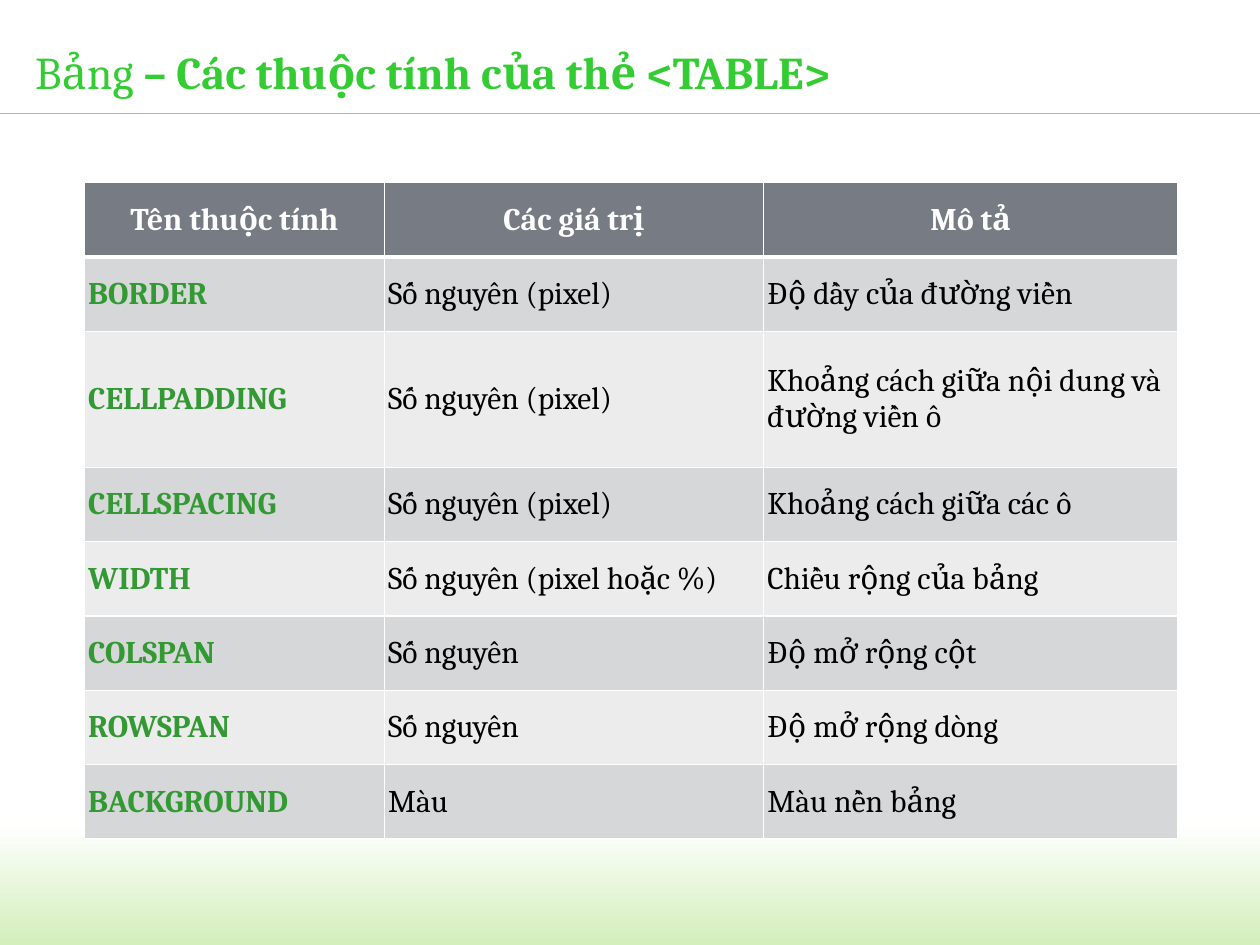
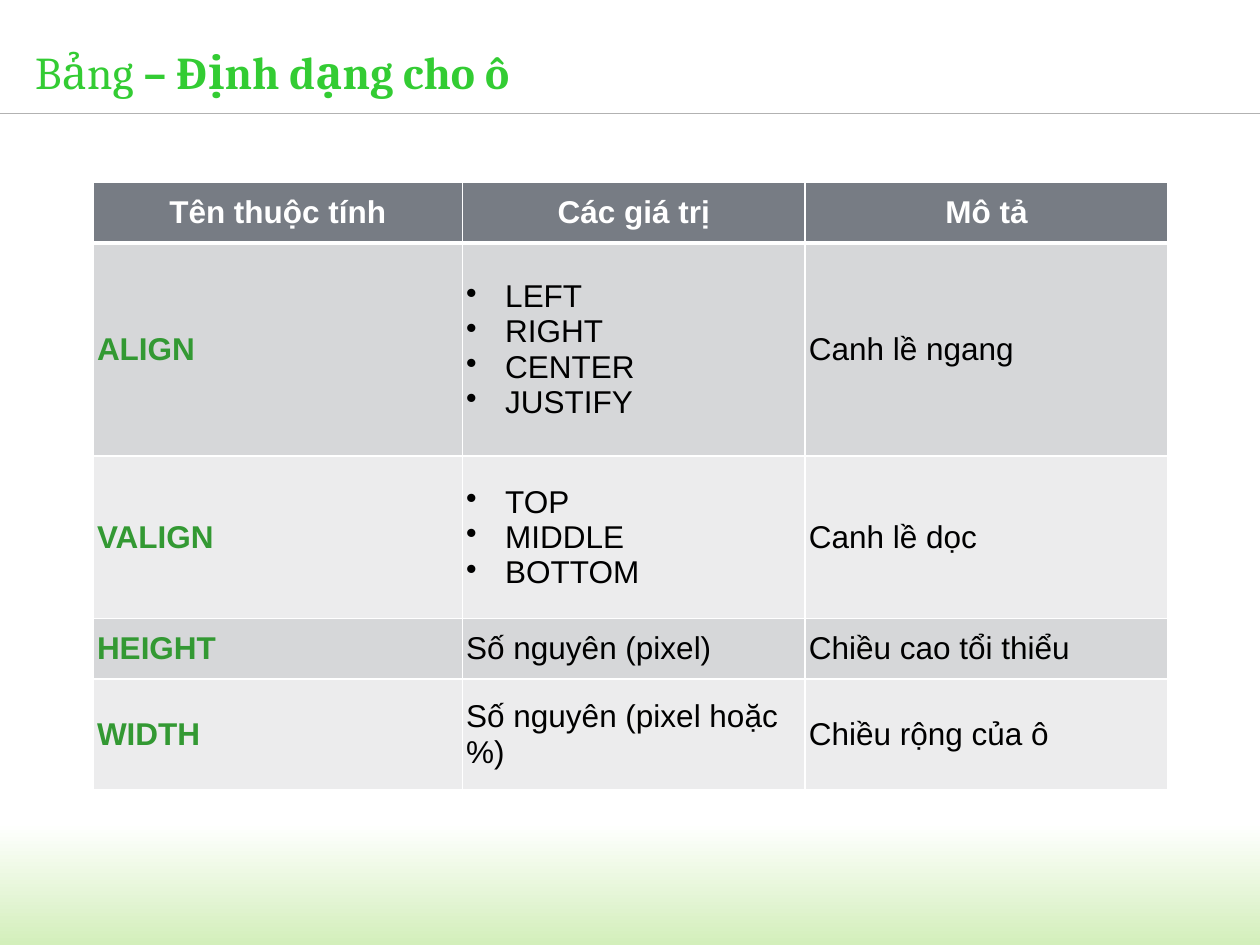
from lxml.etree import SubElement
from pptx import Presentation
from pptx.dml.color import RGBColor
from pptx.enum.shapes import MSO_CONNECTOR, MSO_SHAPE
from pptx.enum.text import MSO_ANCHOR, PP_ALIGN
from pptx.oxml import parse_xml
from pptx.oxml.ns import nsdecls, qn
from pptx.util import Inches, Pt

WHITE = RGBColor(0xFF, 0xFF, 0xFF)
BLACK = RGBColor(0x00, 0x00, 0x00)
TITLE_GREEN = RGBColor(0x33, 0xCC, 0x33)
NAME_GREEN = RGBColor(0x33, 0x99, 0x33)
FOOTER_GREEN = RGBColor(0xD3, 0xEF, 0xBB)
RULE_GREY = RGBColor(0xB2, 0xB2, 0xB2)
HEADER_GREY = RGBColor(0x77, 0x7C, 0x84)
ROW_GREYS = RGBColor(0xD6, 0xD7, 0xD9), RGBColor(0xEC, 0xEC, 0xED)

GRID_COLUMNS, GRID_ROWS = 100, 75
TITLE_FONT = "Cambria"
CELL_INSET = Inches(0.03)
BULLET_INDENT = Inches(0.31)
THIN, THICK = Pt(1), Pt(3)

HEADINGS = ("Tên thuộc tính", "Các giá trị", "Mô tả")
TABLE_ATTRIBUTES = (
    ("BORDER", "Số nguyên (pixel)", "Độ dầy của đường viền"),
    ("CELLPADDING", "Số nguyên (pixel)", "Khoảng cách giữa nội dung và đường viền ô"),
    ("CELLSPACING", "Số nguyên (pixel)", "Khoảng cách giữa các ô"),
    ("WIDTH", "Số nguyên (pixel hoặc %)", "Chiều rộng của bảng"),
    ("COLSPAN", "Số nguyên", "Độ mở rộng cột"),
    ("ROWSPAN", "Số nguyên", "Độ mở rộng dòng"),
    ("BACKGROUND", "Màu", "Màu nền bảng"),
)
CELL_ATTRIBUTES = (
    ("ALIGN", ("LEFT", "RIGHT", "CENTER", "JUSTIFY"), "Canh lề ngang"),
    ("VALIGN", ("TOP", "MIDDLE", "BOTTOM"), "Canh lề dọc"),
    ("HEIGHT", "Số nguyên (pixel)", "Chiều cao tổi thiểu"),
    ("WIDTH", "Số nguyên (pixel hoặc %)", "Chiều rộng của ô"),
)


class AttributeDeck:
    """Builds slides that list HTML attributes in a shared green style."""

    def __init__(self):
        self.deck = Presentation()
        self.deck.slide_width = Inches(10)
        self.deck.slide_height = Inches(7.5)
        self.page = None

    def across(self, columns):
        return round(self.deck.slide_width * columns / GRID_COLUMNS)

    def down(self, rows):
        return round(self.deck.slide_height * rows / GRID_ROWS)

    def area(self, left, top, width, height):
        return self.across(left), self.down(top), self.across(width), self.down(height)

    def add_page(self, topic):
        self.page = self.deck.slides.add_slide(self.deck.slide_layouts[6])
        self.add_footer_band()
        self.add_title_rule()
        self.add_title(topic)

    def add_footer_band(self):
        band = self.page.shapes.add_shape(
            MSO_SHAPE.RECTANGLE, *self.area(0, 65.3, GRID_COLUMNS, 9.7))
        band.shadow.inherit = False
        band.line.fill.background()
        band.fill.gradient()
        band.fill.gradient_angle = 270
        for stop, color in zip(band.fill.gradient_stops, (WHITE, FOOTER_GREEN)):
            stop.color.rgb = color

    def add_title_rule(self):
        height = self.down(9)
        rule = self.page.shapes.add_connector(
            MSO_CONNECTOR.STRAIGHT, 0, height, self.deck.slide_width, height)
        rule.line.color.rgb = RULE_GREY
        rule.line.width = Pt(0.75)
        SubElement(rule._element.spPr, qn("a:effectLst"))

    def add_title(self, topic):
        box = self.page.shapes.add_textbox(*self.area(2.8, 2.5, 93.7, 6.4))
        frame = box.text_frame
        frame.word_wrap = True
        frame.vertical_anchor = MSO_ANCHOR.MIDDLE
        frame.margin_left = frame.margin_right = 0
        frame.margin_top = frame.margin_bottom = 0
        para = frame.paragraphs[0]
        self.set_font(para.font, TITLE_FONT, 26, TITLE_GREEN)
        for text, bold in (("Bảng ", False), (f"– {topic}", True)):
            span = para.add_run()
            span.text = text
            span.font.bold = bold

    def add_attribute_table(self, left, widths, heights, attributes, font_name):
        shape = self.page.shapes.add_table(
            len(heights), len(widths),
            *self.area(left, 14.5, sum(widths), sum(heights)))
        table = shape.table
        table.first_row = table.horz_banding = False
        properties = table._tbl.tblPr
        properties.remove(properties.find(qn("a:tableStyleId")))
        for column, width in zip(table.columns, widths):
            column.width = self.across(width)
        for row, height in zip(table.rows, heights):
            row.height = self.down(height)
        for row_index, values in enumerate((HEADINGS, *attributes)):
            for column_index, value in enumerate(values):
                cell = table.cell(row_index, column_index)
                self.fill_cell(cell, value, row_index, column_index, font_name)

    def fill_cell(self, cell, value, row_index, column_index, font_name):
        is_header = row_index == 0
        is_name = column_index == 0
        cell.vertical_anchor = MSO_ANCHOR.MIDDLE
        cell.margin_left = cell.margin_right = CELL_INSET
        cell.margin_top = cell.margin_bottom = CELL_INSET
        cell.fill.solid()
        cell.fill.fore_color.rgb = HEADER_GREY if is_header else ROW_GREYS[(row_index - 1) % 2]
        self.set_borders(cell, top=THICK if row_index == 1 else THIN,
                         bottom=THICK if is_header else THIN)
        color = WHITE if is_header else NAME_GREEN if is_name else BLACK
        is_list = isinstance(value, tuple)
        cell.text = "\n".join(value) if is_list else value
        for para in cell.text_frame.paragraphs:
            para.alignment = PP_ALIGN.CENTER if is_header else PP_ALIGN.LEFT
            self.set_font(para.font, font_name, 18, color, is_header or is_name)
            if is_list:
                self.set_bullet(para)

    @staticmethod
    def set_font(font, name, size, color, bold=False):
        font.name = name
        font.size = Pt(size)
        font.color.rgb = color
        font.bold = bold

    @staticmethod
    def set_bullet(para):
        properties = para._p.get_or_add_pPr()
        properties.set("marL", str(BULLET_INDENT))
        properties.set("indent", str(-BULLET_INDENT))
        properties.insert(0, parse_xml(f'<a:buChar {nsdecls("a")} char="•"/>'))

    @staticmethod
    def set_borders(cell, top, bottom):
        properties = cell._tc.get_or_add_tcPr()
        sides = (("L", THIN), ("R", THIN), ("T", top), ("B", bottom))
        for position, (side, width) in enumerate(sides):
            properties.insert(position, parse_xml(
                f'<a:ln{side} {nsdecls("a")} w="{width}"><a:solidFill>'
                f'<a:srgbClr val="{WHITE}"/></a:solidFill></a:ln{side}>'))


def main():
    builder = AttributeDeck()
    builder.add_page("Các thuộc tính của thẻ <TABLE>")
    builder.add_attribute_table(
        6.7, (23.8, 30.1, 32.9), (5.9, 5.9, 10.8, *[5.9] * 5), TABLE_ATTRIBUTES, "Cambria")
    builder.add_page("Định dạng cho ô")
    builder.add_attribute_table(
        7.4, (29.3, 27.2, 28.8), (4.8, 16.9, 12.9, 4.8, 8.8), CELL_ATTRIBUTES, "Arial")
    builder.deck.save("out.pptx")


if __name__ == "__main__":
    main()
